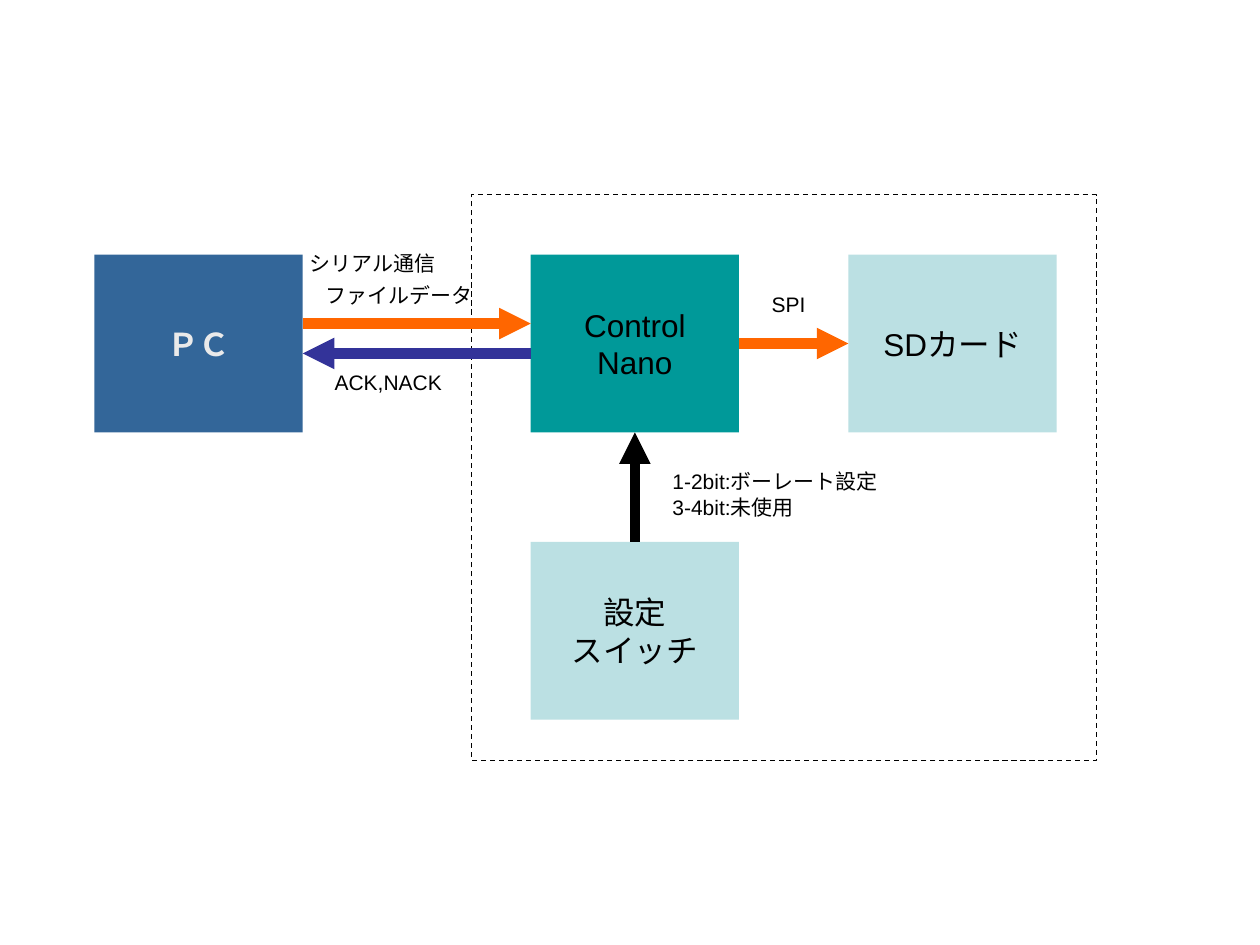
from lxml import etree
from pptx import Presentation
from pptx.dml.color import RGBColor
from pptx.enum import dml, shapes, text
from pptx.oxml import ns
from pptx.util import Pt

THEME = {
    "font": "Arial", "block_size": 18, "label_size": 12,
    "black": "000000", "pale": "EAEAEA", "teal": "009999", "aqua": "BBE0E3",
    "blue": "336699", "orange": "FF6600", "indigo": "333399",
}
BLOCK_W, BLOCK_H = 119, 101.6
ROW_1, ROW_2 = 145.5, 309.7
PC_X, BOARD_X, CARD_X = 54, 303.3, 484.8
FRAME = (269.3, 111.3, 357.2, 323.3)
TOP, LEFT, BOTTOM, RIGHT = range(4)

# name: left, top, fill, text colour, bold, lines
BLOCKS = {
    "board": (BOARD_X, ROW_1, "teal", "black", False, ["Control", "Nano"]),
    "card": (CARD_X, ROW_1, "aqua", "black", False, ["SDカード"]),
    "pc": (PC_X, ROW_1, "blue", "pale", True, ["ＰＣ"]),
    "switch": (BOARD_X, ROW_2, "aqua", "black", False, ["設定", "スイッチ"]),
}
# start block, side, end block, side, colour
JOINED_ARROWS = [
    ("board", RIGHT, "card", LEFT, "orange"),
    ("switch", TOP, "board", BOTTOM, "black"),
]
# start x, end x, y, colour
SERIAL_ARROWS = [
    (PC_X + BLOCK_W, BOARD_X, 184.9, "orange"),
    (BOARD_X, PC_X + BLOCK_W, 202, "indigo"),
]
# left, top, width, height, lines
LABELS = [
    (170, 139.5, 88, 21.8, ["シリアル通信"]),
    (377.2, 264.4, 136, 36.2, ["1-2bit:ボーレート設定", "3-4bit:未使用"]),
    (433.9, 162.9, 33.8, 21.8, ["SPI"]),
    (179, 157.9, 102, 21.8, ["ファイルデータ"]),
    (184.1, 207.4, 76, 21.8, ["ACK,NACK"]),
]


def color(name):
    return RGBColor.from_string(THEME[name])


def write(box, lines, align, size, ink="black", bold=False):
    frame = box.text_frame
    frame.word_wrap = False
    for i, line in enumerate(lines):
        para = frame.paragraphs[0] if i == 0 else frame.add_paragraph()
        para.alignment = align
        span = para.add_run()
        span.text = line
        style = {"name": THEME["font"], "size": Pt(THEME[size]), "bold": bold}
        for key, value in style.items():
            setattr(span.font, key, value)
        span.font.color.rgb = color(ink)


def add_rectangle(page, *place):
    box = page.shapes.add_shape(shapes.MSO_SHAPE.RECTANGLE, *map(Pt, place))
    box.shadow.inherit = False
    return box


def add_frame(page):
    box = add_rectangle(page, *FRAME)
    box.fill.background()
    box.line.color.rgb = color("black")
    box.line.width = Pt(0.75)
    box.line.dash_style = dml.MSO_LINE.DASH


def add_block(page, left, top, fill, ink, bold, lines):
    box = add_rectangle(page, left, top, BLOCK_W, BLOCK_H)
    box.fill.solid()
    box.fill.fore_color.rgb = color(fill)
    box.line.fill.background()
    box.text_frame.vertical_anchor = text.MSO_ANCHOR.MIDDLE
    write(box, lines, text.PP_ALIGN.CENTER, "block_size", ink, bold)
    return box


def add_arrow(page, ink, x1=0, y1=0, x2=0, y2=0):
    arrow = page.shapes.add_connector(
        shapes.MSO_CONNECTOR.STRAIGHT, Pt(x1), Pt(y1), Pt(x2), Pt(y2))
    arrow.line.color.rgb = color(ink)
    arrow.line.width = Pt(6)
    outline = arrow._element.spPr.find(ns.qn("a:ln"))
    etree.SubElement(outline, ns.qn("a:tailEnd"), type="triangle")
    etree.SubElement(arrow._element.spPr, ns.qn("a:effectLst"))
    return arrow


def add_label(page, left, top, width, height, lines):
    box = page.shapes.add_textbox(*map(Pt, (left, top, width, height)))
    write(box, lines, text.PP_ALIGN.LEFT, "label_size")
    box.text_frame.auto_size = text.MSO_AUTO_SIZE.SHAPE_TO_FIT_TEXT


def main():
    deck = Presentation()
    deck.slide_width, deck.slide_height = Pt(720), Pt(540)
    page = deck.slides.add_slide(deck.slide_layouts[6])
    add_frame(page)
    blocks = {name: add_block(page, *block) for name, block in BLOCKS.items()}
    for start, start_side, end, end_side, ink in JOINED_ARROWS:
        arrow = add_arrow(page, ink)
        arrow.begin_connect(blocks[start], start_side)
        arrow.end_connect(blocks[end], end_side)
    for x1, x2, y, ink in SERIAL_ARROWS:
        add_arrow(page, ink, x1, y, x2, y)
    for label in LABELS:
        add_label(page, *label)
    deck.save("out.pptx")


if __name__ == "__main__":
    main()
